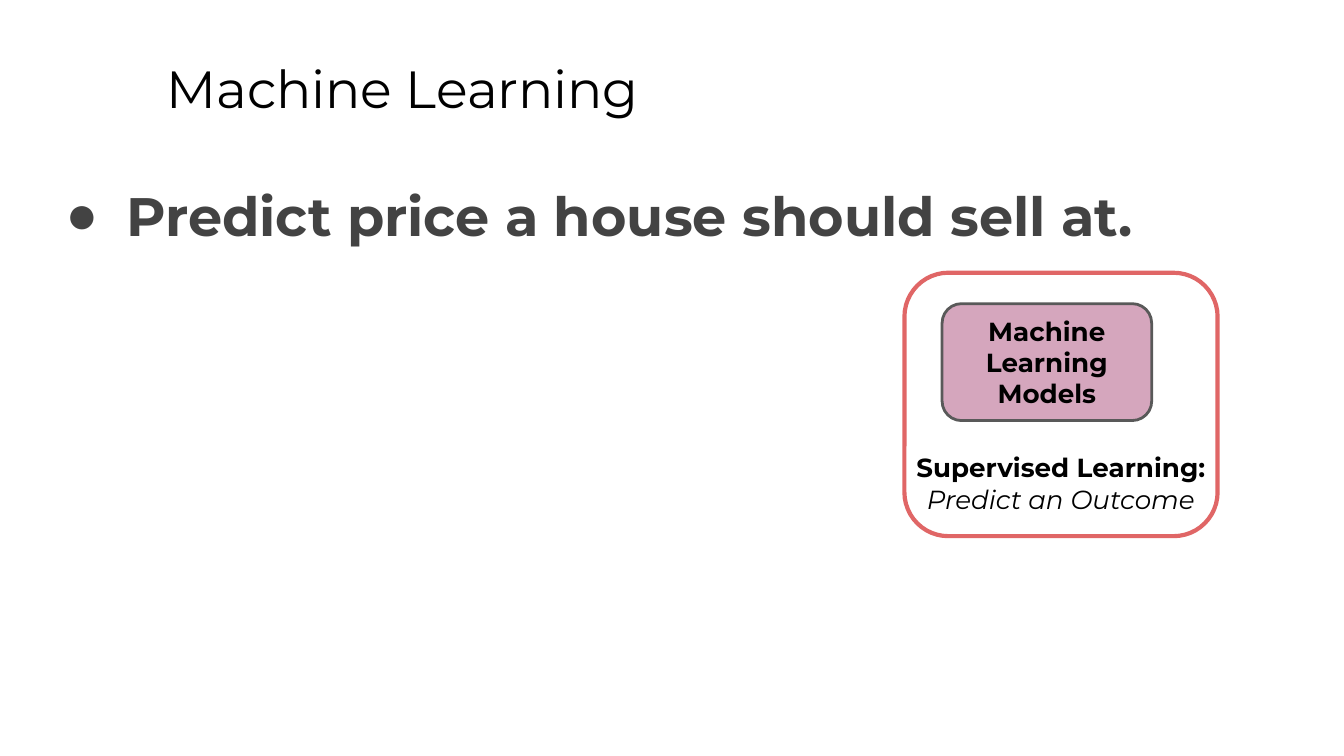
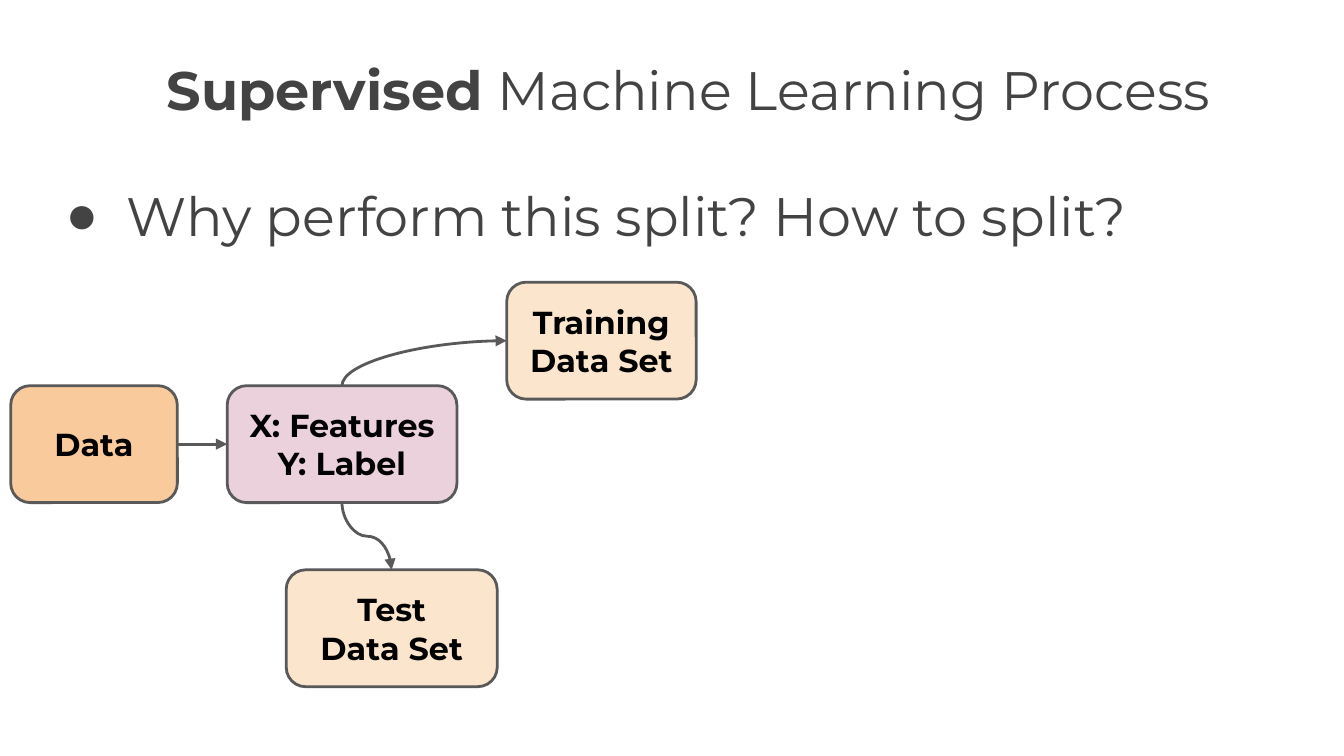
from dataclasses import dataclass

from lxml.etree import SubElement
from pptx import Presentation
from pptx.dml.color import RGBColor
from pptx.enum.shapes import MSO_CONNECTOR, MSO_SHAPE
from pptx.enum.text import MSO_ANCHOR, PP_ALIGN
from pptx.oxml.ns import qn
from pptx.shapes.autoshape import Shape
from pptx.shapes.connector import Connector
from pptx.slide import Slide
from pptx.util import Inches, Pt

FONT = "Montserrat"
DOT_FONT = "Arial"
BLACK = RGBColor(0x00, 0x00, 0x00)
WHITE = RGBColor(0xFF, 0xFF, 0xFF)
GREY = RGBColor(0x43, 0x43, 0x43)
EDGE = RGBColor(0x59, 0x59, 0x59)
RED = RGBColor(0xE0, 0x66, 0x66)
MAUVE = RGBColor(0xD5, 0xA6, 0xBD)
PINK = RGBColor(0xEA, 0xD1, 0xDC)
ORANGE = RGBColor(0xF9, 0xCB, 0x9C)
CREAM = RGBColor(0xFC, 0xE5, 0xCD)

WIDE = Inches(10)
HIGH = WIDE * 9 // 16
TITLE_AT = (1.14, 0.32, 8.52, 0.63)
BOX_HIGH = 0.87
FRAME = {
    "word_wrap": True,
    "margin_left": Inches(0.1),
    "margin_right": Inches(0.1),
    "margin_top": Inches(0.1),
    "margin_bottom": Inches(0.1),
}


@dataclass(frozen=True)
class Part:
    """A run of text with its own weight and slant."""
    text: str
    bold: bool = False
    italic: bool = False


@dataclass(frozen=True)
class Box:
    left: float
    top: float
    width: float
    fill: RGBColor
    lines: tuple[str, ...]
    size: int = 17


MODELS = Box(7.01, 2.26, 1.56, MAUVE, ("Machine Learning", "Models"), 14)
DATA = Box(0.08, 2.87, 1.24, ORANGE, ("Data",))
LABELS = Box(1.69, 2.87, 1.71, PINK, ("X: Features", "Y: Label"))
TRAIN = Box(3.77, 2.1, 1.41, CREAM, ("Training Data Set",))
TEST = Box(2.13, 4.24, 1.57, CREAM, ("Test", "Data Set"))


def write(shape: Shape, rows: list[list[Part]], size: int, color: RGBColor,
          align: PP_ALIGN = PP_ALIGN.LEFT, anchor: MSO_ANCHOR = MSO_ANCHOR.TOP) -> None:
    """Fill a shape with one paragraph for each row of parts."""
    frame = shape.text_frame
    for name, value in (FRAME | {"vertical_anchor": anchor}).items():
        setattr(frame, name, value)
    for index, row in enumerate(rows):
        para = frame.paragraphs[0] if index == 0 else frame.add_paragraph()
        para.alignment = align
        for part in row:
            run = para.add_run()
            run.text = part.text
            style = {"name": FONT, "size": Pt(size), "bold": part.bold, "italic": part.italic}
            for name, value in style.items():
                setattr(run.font, name, value)
            run.font.color.rgb = color


def add_text(slide: Slide, at: tuple[float, ...], parts: list[Part], size: int,
             color: RGBColor, align: PP_ALIGN = PP_ALIGN.LEFT) -> Shape:
    shape = slide.shapes.add_textbox(*map(Inches, at))
    write(shape, [parts], size, color, align)
    return shape


def add_bullet(slide: Slide, part: Part, height: float) -> None:
    shape = add_text(slide, (0.34, 1.26, 9.5, height), [part], 29, GREY)
    props = shape.text_frame.paragraphs[0]._p.get_or_add_pPr()
    props.set("marL", str(Inches(0.5)))
    props.set("indent", str(Inches(-0.45)))
    tint = SubElement(props, qn("a:buClr"))
    SubElement(tint, qn("a:srgbClr"), val=str(GREY))
    SubElement(props, qn("a:buFont"), typeface=DOT_FONT)
    SubElement(props, qn("a:buChar"), char="●")


def add_round(slide: Slide, at: tuple[float, ...], edge: RGBColor, width: float) -> Shape:
    shape = slide.shapes.add_shape(MSO_SHAPE.ROUNDED_RECTANGLE, *map(Inches, at))
    shape.shadow.inherit = False
    shape.fill.background()
    shape.line.color.rgb = edge
    shape.line.width = Pt(width)
    return shape


def add_box(slide: Slide, box: Box) -> Shape:
    shape = add_round(slide, (box.left, box.top, box.width, BOX_HIGH), EDGE, 1.5)
    shape.fill.solid()
    shape.fill.fore_color.rgb = box.fill
    rows = [[Part(line, bold=True)] for line in box.lines]
    write(shape, rows, box.size, BLACK, PP_ALIGN.CENTER, MSO_ANCHOR.MIDDLE)
    return shape


def style_arrow(arrow: Connector) -> None:
    arrow.line.color.rgb = EDGE
    arrow.line.width = Pt(1.5)
    SubElement(arrow.line._get_or_add_ln(), qn("a:tailEnd"), type="triangle")
    SubElement(arrow._element.spPr, qn("a:effectLst"))


def add_arrow(slide: Slide, start: Shape, end: Shape) -> None:
    """Join the right side of one box to the left side of the next."""
    arrow = slide.shapes.add_connector(MSO_CONNECTOR.STRAIGHT, 0, 0, 0, 0)
    arrow.begin_connect(start, 3)
    arrow.end_connect(end, 1)
    style_arrow(arrow)


def side(shape: Shape, site: int) -> tuple[int, int]:
    """Middle of a side: 0 top, 1 left, 2 bottom, 3 right."""
    across = (1, 0, 1, 2)[site]
    down = (0, 1, 2, 1)[site]
    return shape.left + shape.width * across // 2, shape.top + shape.height * down // 2


def add_curve(slide: Slide, start: tuple[int, int], end: tuple[int, int], preset: str) -> None:
    """Draw a curve that leaves upright, as a connector turned by 270 degrees."""
    mid_x, mid_y = (start[0] + end[0]) // 2, (start[1] + end[1]) // 2
    half_x, half_y = (end[0] - start[0]) // 2, (end[1] - start[1]) // 2
    curve = slide.shapes.add_connector(
        MSO_CONNECTOR.CURVE, mid_x + half_y, mid_y - half_x, mid_x - half_y, mid_y + half_x)
    props = curve._element.spPr
    props.find(qn("a:xfrm")).set("rot", str(270 * 60000))
    props.find(qn("a:prstGeom")).set("prst", preset)
    style_arrow(curve)


def add_slide(deck: Presentation, title: list[Part], size: int, color: RGBColor) -> Slide:
    slide = deck.slides.add_slide(deck.slide_layouts[6])
    slide.background.fill.solid()
    slide.background.fill.fore_color.rgb = WHITE
    add_text(slide, TITLE_AT, title, size, color)
    return slide


def build_goal(deck: Presentation) -> None:
    slide = add_slide(deck, [Part("Machine Learning")], 28, BLACK)
    add_bullet(slide, Part("Predict price a house should sell at.", bold=True), 0.64)
    add_box(slide, MODELS)
    label = [Part("Supervised Learning: ", bold=True), Part("Predict an Outcome", italic=True)]
    add_text(slide, (6.36, 3.26, 3.07, 0.3), label, 14, BLACK, PP_ALIGN.CENTER)
    add_round(slide, (6.73, 2.03, 2.33, 1.96), RED, 2.25)


def build_split(deck: Presentation) -> None:
    title = [Part("Supervised", bold=True), Part(" Machine Learning Process")]
    slide = add_slide(deck, title, 29, GREY)
    add_bullet(slide, Part("Why perform this split? How to split?"), 3.74)
    data, labels, train, test = (add_box(slide, box) for box in (DATA, LABELS, TRAIN, TEST))
    add_arrow(slide, data, labels)
    add_curve(slide, side(labels, 2), side(test, 0), "curvedConnector3")
    add_curve(slide, side(labels, 0), side(train, 1), "curvedConnector2")


def main() -> None:
    deck = Presentation()
    deck.slide_width = WIDE
    deck.slide_height = HIGH
    build_goal(deck)
    build_split(deck)
    deck.save("out.pptx")


if __name__ == "__main__":
    main()
